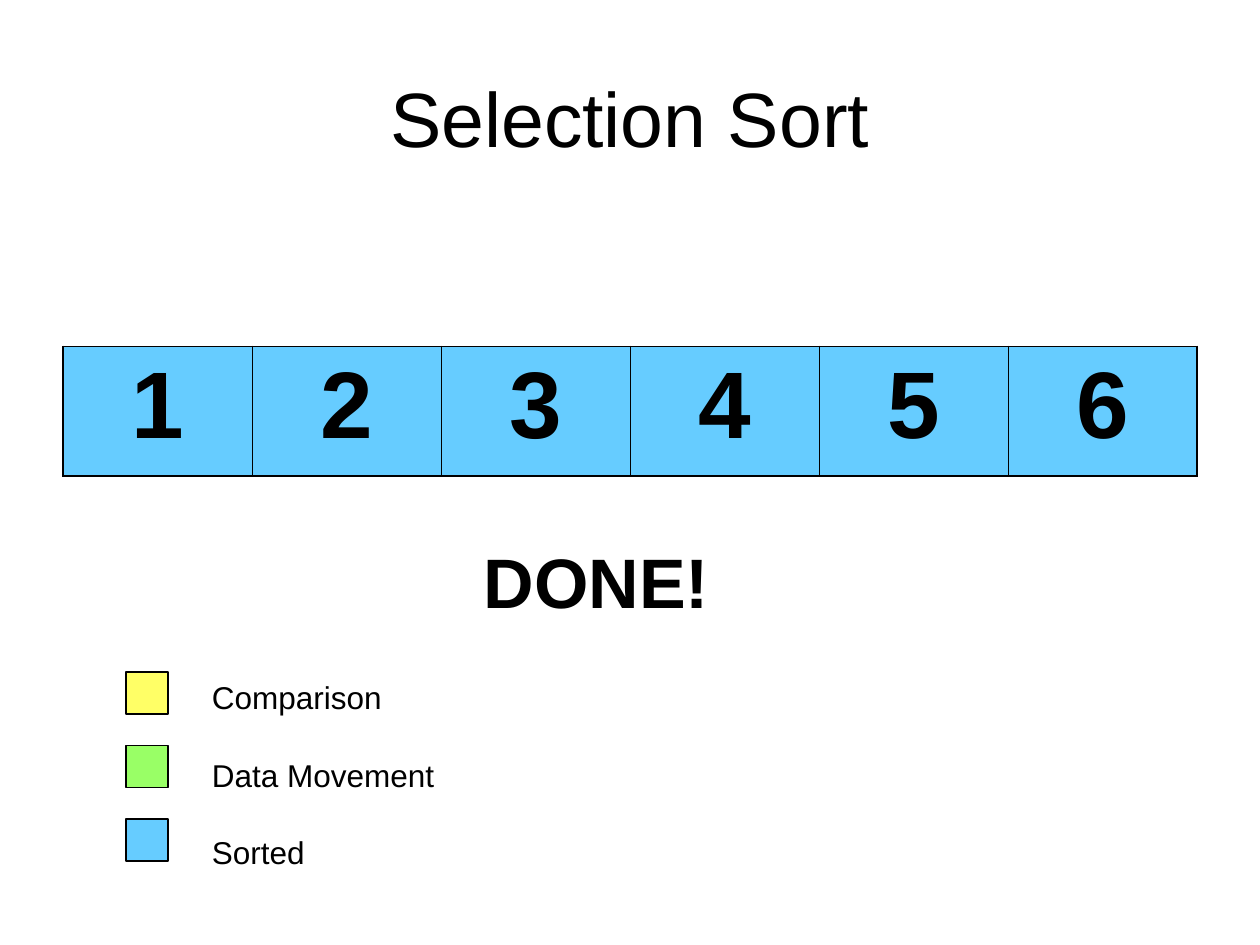
"""Build the final slide of a selection sort walkthrough."""
from dataclasses import dataclass

from lxml.etree import SubElement
from pptx import Presentation
from pptx.dml.color import RGBColor as RGB
from pptx.enum.shapes import MSO_SHAPE as Shape
from pptx.enum.text import MSO_ANCHOR as Anchor, PP_ALIGN as Align
from pptx.oxml.ns import qn
from pptx.util import Pt

COLORS = {"ink": "000000", "paper": "FFFFFF", "comparison": "FFFF66",
          "movement": "99FF66", "sorted": "66CCFF"}
VALUES = [1, 2, 3, 4, 5, 6]


@dataclass
class Box:
    left: float
    top: float
    width: float
    height: float

    def lengths(self) -> list:
        return [Pt(v) for v in (self.left, self.top, self.width, self.height)]


@dataclass
class Key:
    label: str
    color: str


KEYS = [Key("Comparison", "comparison"), Key("Data Movement", "movement"),
        Key("Sorted", "sorted")]


def rgb(name: str) -> RGB:
    return RGB.from_string(COLORS[name])


def write(p, text: str, size: float, bold: bool = False, **layout) -> None:
    for name, value in layout.items():
        setattr(p, name, value)
    r = p.add_run()
    r.text = text
    for name, value in {"name": "Arial", "size": Pt(size), "bold": bold}.items():
        setattr(r.font, name, value)
    r.font.color.rgb = rgb("ink")


def add_text(s, box: Box, lines: list[str], size: float, bold: bool = False,
             gap: float = 0) -> None:
    tf = s.shapes.add_textbox(*box.lengths()).text_frame
    tf.word_wrap = True
    for i, line in enumerate(lines):
        p = tf.paragraphs[0] if i == 0 else tf.add_paragraph()
        write(p, line, size, bold, space_before=Pt(gap if i else 0))


def add_border(cell, side: str, width: float) -> None:
    ln = SubElement(cell._tc.get_or_add_tcPr(), qn(f"a:{side}"), w=str(Pt(width)))
    fill = SubElement(ln, qn("a:solidFill"))
    SubElement(fill, qn("a:srgbClr"), val=COLORS["ink"])


def add_array(s, box: Box, values: list[int]) -> None:
    table = s.shapes.add_table(1, len(values), *box.lengths()).table
    table.first_row = table.horz_banding = False
    last = len(values) - 1
    for i, value in enumerate(values):
        cell = table.cell(0, i)
        sides = {"lnL": 0.45 if i else 1.08, "lnR": 0.45 if i < last else 1.08,
                 "lnT": 1.08, "lnB": 1.08}
        for side, width in sides.items():
            add_border(cell, side, width)
        cell.fill.solid()
        cell.fill.fore_color.rgb = rgb("sorted")
        write(cell.text_frame.paragraphs[0], str(value), 54, True,
              alignment=Align.CENTER, space_before=Pt(13.5))


def add_swatch(s, box: Box, color: str) -> None:
    sp = s.shapes.add_shape(Shape.RECTANGLE, *box.lengths())
    sp.shadow.inherit = False
    sp.fill.solid()
    sp.fill.fore_color.rgb = rgb(color)
    sp.line.color.rgb = rgb("ink")
    sp.line.width = Pt(0.75)


def add_title(s, box: Box, text: str) -> None:
    sp = s.shapes.title
    for name, value in zip(("left", "top", "width", "height"), box.lengths()):
        setattr(sp, name, value)
    sp.text_frame.vertical_anchor = Anchor.MIDDLE
    write(sp.text_frame.paragraphs[0], text, 44, alignment=Align.CENTER)


def main() -> None:
    prs = Presentation()
    prs.slide_width, prs.slide_height = Pt(720), Pt(540)
    s = prs.slides.add_slide(prs.slide_layouts[5])
    s.background.fill.solid()
    s.background.fill.fore_color.rgb = rgb("paper")
    add_title(s, Box(36, 21.6, 648, 90), "Selection Sort")
    add_array(s, Box(36, 198, 648, 74.2), VALUES)
    for i, key in enumerate(KEYS):
        add_swatch(s, Box(72, 384 + 42 * i, 24, 24), key.color)
    add_text(s, Box(114, 384, 150, 115), [key.label for key in KEYS], 18, gap=22.7)
    add_text(s, Box(269.5, 304, 150, 55.4), ["DONE!"], 40, True)
    prs.save("out.pptx")


if __name__ == "__main__":
    main()
